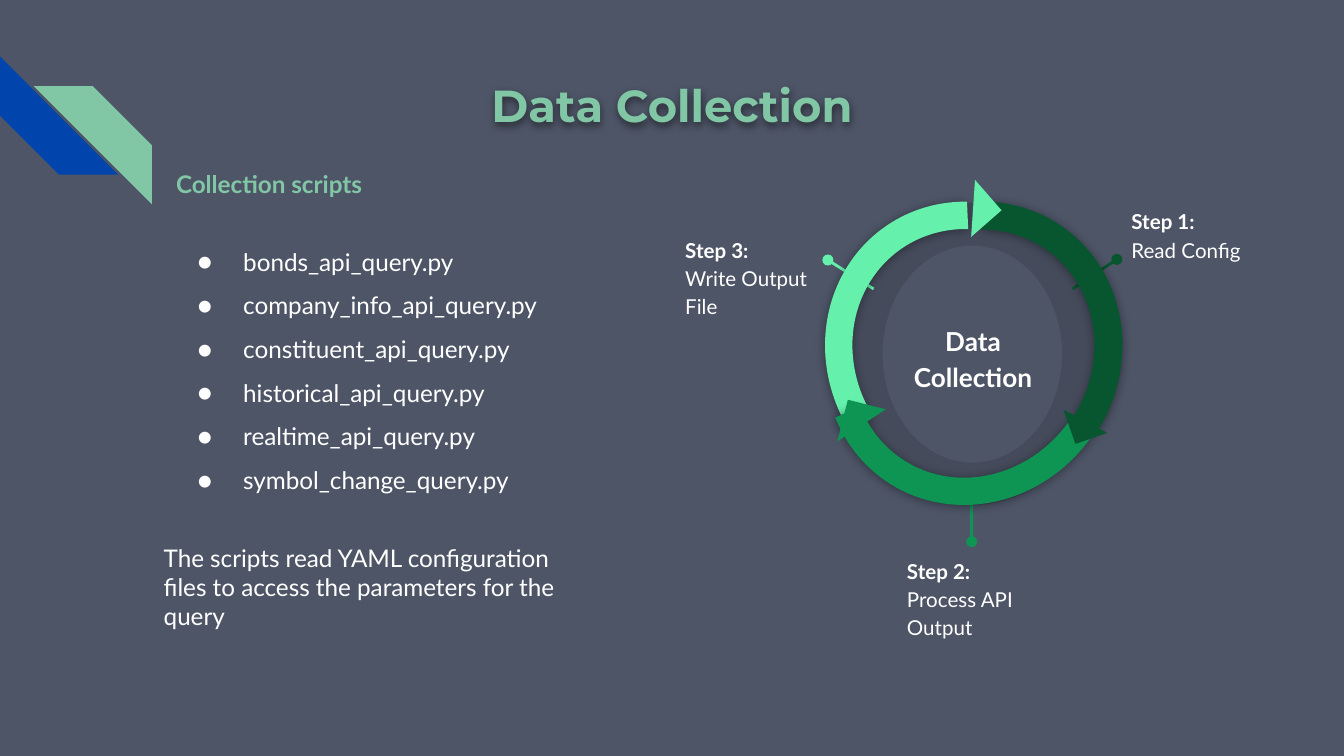
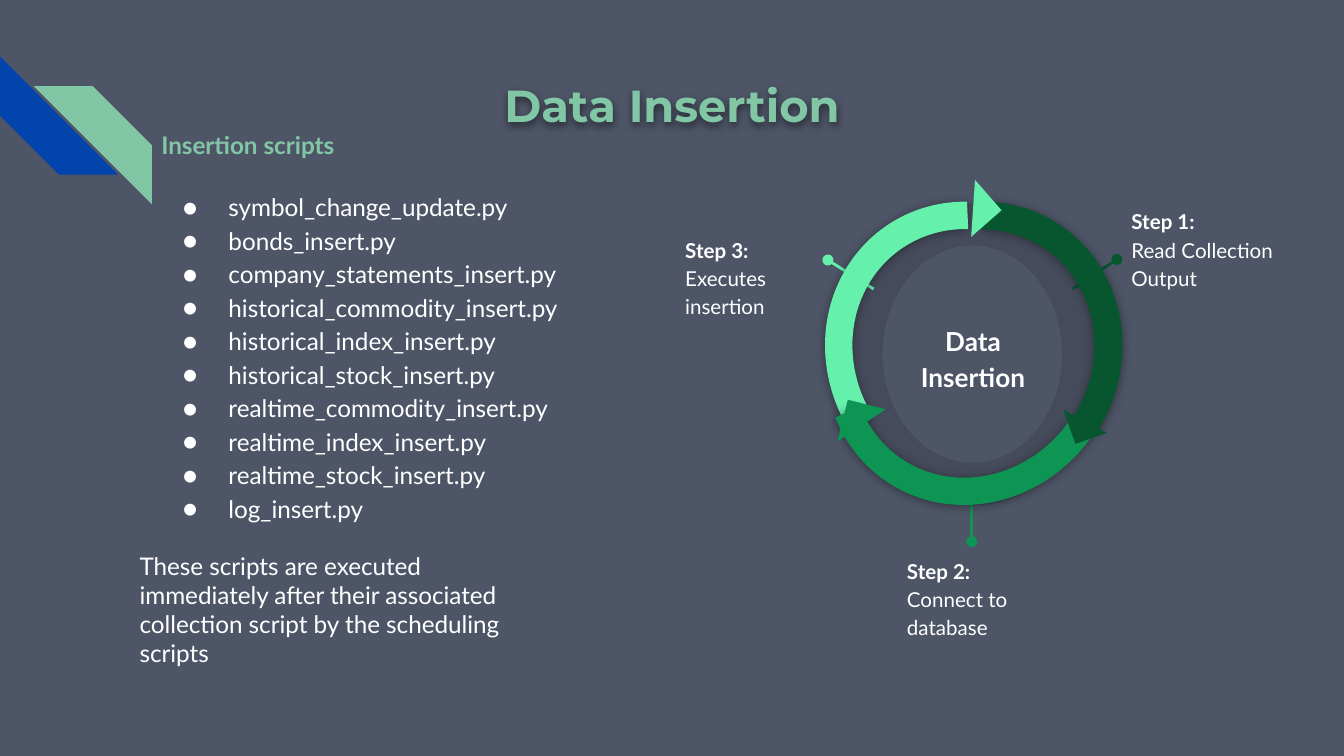
from dataclasses import dataclass

from lxml import etree
from pptx import Presentation
from pptx.dml.color import RGBColor
from pptx.enum.shapes import MSO_CONNECTOR, MSO_SHAPE
from pptx.enum.text import MSO_ANCHOR, MSO_AUTO_SIZE, PP_ALIGN
from pptx.oxml.ns import qn
from pptx.util import Pt

PX = 9144  # one px is a hundredth of an inch
SLIDE_WIDTH = 1000
INSET = 10
STRIPE, DONUT = MSO_SHAPE.DIAGONAL_STRIPE, MSO_SHAPE.DONUT
ARC, TRIANGLE = MSO_SHAPE.BLOCK_ARC, MSO_SHAPE.RIGHT_TRIANGLE
STRAIGHT = MSO_CONNECTOR.STRAIGHT
TOP, MIDDLE = MSO_ANCHOR.TOP, MSO_ANCHOR.MIDDLE
LEFT, CENTER = PP_ALIGN.LEFT, PP_ALIGN.CENTER
SIDE_TOP, SIDE_RIGHT = 0, 3


@dataclass(frozen=True)
class Theme:
    background: str = "4E5567"
    mint: str = "82C7A5"
    blue: str = "0145AC"
    white: str = "FFFFFF"
    black: str = "000000"
    step1: str = "085630"
    step2: str = "0E9453"
    step3: str = "65F0AC"
    heading_font: str = "Montserrat"
    text_font: str = "Lato"
    title: int = 24
    hub: int = 14
    body: int = 13
    step: int = 11


THEME = Theme()


@dataclass(frozen=True)
class Topic:
    title: str
    heading: str
    scripts: tuple
    scripts_box: tuple
    heading_spacing: float
    script_spacing: float
    heading_gap: float
    summary: str
    summary_box: tuple
    steps: tuple


# ---- shared helpers ----

def place(shape, box):
    shape.left, shape.top, shape.width, shape.height = (v * PX for v in box)


def add_child(parent, tag, **attributes):
    return etree.SubElement(parent, qn(tag), {k: str(v) for k, v in attributes.items()})


def add_filled(slide, kind, box, color, rotation=0, flip=False, adjustments=()):
    shape = slide.shapes.add_shape(kind, *(v * PX for v in box))
    shape.shadow.inherit = False
    shape.fill.solid()
    shape.fill.fore_color.rgb = RGBColor.from_string(color)
    shape.line.fill.background()
    shape.rotation = rotation
    if flip:
        shape.element.spPr.find(qn("a:xfrm")).set("flipH", "1")
    for i, value in enumerate(adjustments):
        shape.adjustments[i] = value
    return shape


def cast_shadow(shape, alpha, blur, distance):
    shape.shadow.inherit = False
    effects = shape.element.spPr.find(qn("a:effectLst"))
    outer = add_child(effects, "a:outerShdw", blurRad=Pt(blur), dist=Pt(distance),
                      dir=90 * 60000, algn="bl", rotWithShape=0)
    color = add_child(outer, "a:srgbClr", val=THEME.black)
    add_child(color, "a:alpha", val=alpha * 1000)


def prepare_frame(shape, anchor=TOP):
    frame = shape.text_frame
    frame.word_wrap = True
    frame.auto_size = MSO_AUTO_SIZE.NONE
    frame.vertical_anchor = anchor
    frame.margin_left = frame.margin_right = INSET * PX
    frame.margin_top = frame.margin_bottom = INSET * PX
    return frame


def add_run(paragraph, text, size, color=THEME.white, bold=False, font=THEME.text_font):
    run = paragraph.add_run()
    run.text = text
    run.font.size = Pt(size)
    run.font.name = font
    run.font.bold = bold
    run.font.color.rgb = RGBColor.from_string(color)


def format_paragraph(paragraph, spacing=1.0, align=LEFT):
    paragraph.line_spacing = spacing
    paragraph.space_before = Pt(0)
    paragraph.alignment = align


def add_text_box(slide, box, anchor=TOP, spacing=1.0, align=LEFT):
    text_box = slide.shapes.add_textbox(*(v * PX for v in box))
    paragraph = prepare_frame(text_box, anchor).paragraphs[0]
    format_paragraph(paragraph, spacing, align)
    return text_box, paragraph


def set_bullet(paragraph, bulleted):
    properties = paragraph._p.get_or_add_pPr()
    properties.set("marL", str(50 * PX if bulleted else 0))
    properties.set("indent", str(-34 * PX if bulleted else 0))
    if bulleted:
        color = add_child(properties, "a:buClr")
        add_child(color, "a:srgbClr", val=THEME.white)
        add_child(properties, "a:buSzPts", val=THEME.body * 100)
        add_child(properties, "a:buFont", typeface=THEME.text_font)
        add_child(properties, "a:buChar", char="●")
    else:
        add_child(properties, "a:buNone")


# ---- regions ----

def decorate_layout(layout, slide, x, y):
    """Give the layout its background and the pair of corner stripes."""
    layout.background.fill.solid()
    layout.background.fill.fore_color.rgb = RGBColor.from_string(THEME.background)
    stripes = (
        add_filled(slide, STRIPE, (x, y, 88, 88), THEME.blue, 270, False, (0.5,)),
        add_filled(slide, STRIPE, (x + 25, y + 22, 88, 88), THEME.mint, 0, True, (0.5,)),
    )
    for number, stripe in enumerate(stripes):
        stripe.element.nvSpPr.cNvPr.set("id", str(100 + number))
        layout.shapes.element.insert(2 + number, stripe.element)


def add_title(slide, text, box):
    title = slide.shapes.title
    place(title, box)
    paragraph = prepare_frame(title).paragraphs[0]
    format_paragraph(paragraph, align=CENTER)
    add_run(paragraph, text, THEME.title, THEME.mint, True, THEME.heading_font)
    cast_shadow(title, 50, 4.5, 1.5)


def add_scripts(slide, topic, box):
    body = slide.placeholders[1]
    place(body, box)
    frame = prepare_frame(body, MIDDLE)
    heading = frame.paragraphs[0]
    format_paragraph(heading, topic.heading_spacing)
    heading.space_after = Pt(topic.heading_gap)
    set_bullet(heading, False)
    add_run(heading, topic.heading, THEME.body, THEME.mint, True)
    for script in topic.scripts:
        item = frame.add_paragraph()
        format_paragraph(item, topic.script_spacing)
        set_bullet(item, True)
        add_run(item, script, THEME.body)


def add_summary(slide, text, box):
    _, paragraph = add_text_box(slide, box)
    add_run(paragraph, text, THEME.body)


def add_step(slide, number, text, box, start, end, color, side=None):
    """Label one step and lead from its dot to the ring."""
    label, paragraph = add_text_box(slide, box, spacing=1.15)
    add_run(paragraph, f"Step {number}:", THEME.step, bold=True)
    paragraph.add_line_break()
    add_run(paragraph, text, THEME.step)

    leader = slide.shapes.add_connector(STRAIGHT, *(v * PX for v in start + end))
    leader.line.color.rgb = RGBColor.from_string(color)
    leader.line.width = Pt(1.5)
    add_child(leader.line._get_or_add_ln(), "a:headEnd", type="oval")
    add_child(leader.element.spPr, "a:effectLst")
    if side is not None:
        leader.begin_connect(label, side)


def add_cycle(slide, hub, steps, x, y):
    """Draw the three-step ring with its hub, labels and arrowheads."""
    def at(left, top, *size):
        return (x + left, y + top, *size)

    disc = add_filled(slide, DONUT, at(125, 11, 197, 225), THEME.black, adjustments=(0.161,))
    tint = disc.element.spPr.find(qn("a:solidFill")).find(qn("a:srgbClr"))
    add_child(tint, "a:alpha", val=11000)

    # Step labels with leaders
    first, second, third = steps
    add_step(slide, 3, third, at(0, 24, 116, 59), at(116, 53), at(150, 75),
             THEME.step3, SIDE_RIGHT)
    add_step(slide, 1, first, at(332, 3, 143, 81), at(331, 53), at(298, 75), THEME.step1)
    add_step(slide, 2, second, at(165, 263, 116, 59), at(223, 262), at(223, 221),
             THEME.step2, SIDE_TOP)

    _, paragraph = add_text_box(slide, at(168, 90, 112, 71), MIDDLE, 1.15, CENTER)
    add_run(paragraph, hub, THEME.hub, bold=True)

    # Arcs run from a start to an end angle in degrees
    def add_arc(top, width, color, rotation, flip, start, end, thickness):
        arc = add_filled(slide, ARC, at(116, top, width, 231), color, rotation, flip,
                         (start * 0.6, end * 0.6, thickness))
        cast_shadow(arc, 40, 5.6, 0.8)

    add_arc(8, 217, THEME.step1, 33.4, False, 240.24, 0.01, 0.096)
    add_arc(8, 217, THEME.step3, 326.6, True, 239.14, 357.88, 0.094)
    add_filled(slide, TRIANGLE, at(209, 0, 30, 30), THEME.step3, 228.8)
    add_arc(7, 216, THEME.step2, 213.4, True, 238.6, 358.38, 0.094)
    add_filled(slide, TRIANGLE, at(295, 160, 25, 27), THEME.step1, 340.7)
    add_filled(slide, TRIANGLE, at(125, 162, 32, 29), THEME.step2, 104.1)


def fill_topic_slide(slide, topic):
    add_scripts(slide, topic, topic.scripts_box)
    add_summary(slide, topic.summary, topic.summary_box)
    add_cycle(slide, topic.title, topic.steps, 500, 140)
    add_title(slide, topic.title, (0, 48, SLIDE_WIDTH, 61))


# ---- content ----

TOPICS = (
    Topic(
        title="Data Collection",
        heading="Collection scripts",
        scripts=("bonds_api_query.py", "company_info_api_query.py",
                 "constituent_api_query.py", "historical_api_query.py",
                 "realtime_api_query.py", "symbol_change_query.py"),
        scripts_box=(121, 113, 300, 265),
        heading_spacing=1.15, script_spacing=1.5, heading_gap=18,
        summary="The scripts read YAML configuration files to access "
                "the parameters for the query",
        summary_box=(112, 394, 330, 86),
        steps=("Read Config", "Process API Output", "Write Output File"),
    ),
    Topic(
        title="Data Insertion",
        heading="Insertion scripts",
        scripts=("symbol_change_update.py", "bonds_insert.py",
                 "company_statements_insert.py", "historical_commodity_insert.py",
                 "historical_index_insert.py", "historical_stock_insert.py",
                 "realtime_commodity_insert.py", "realtime_index_insert.py",
                 "realtime_stock_insert.py", "log_insert.py"),
        scripts_box=(110, 88, 373, 312),
        heading_spacing=0.95, script_spacing=1.15, heading_gap=15,
        summary="These scripts are executed immediately after their associated "
                "collection script by the scheduling scripts",
        summary_box=(94, 400, 318, 143),
        steps=("Read Collection Output", "Connect to database", "Executes insertion"),
    ),
)


def main():
    deck = Presentation()
    deck.slide_width = SLIDE_WIDTH * PX
    deck.slide_height = deck.slide_width * 9 // 16
    layout = deck.slide_layouts[1]
    slides = [deck.slides.add_slide(layout) for _ in TOPICS]
    decorate_layout(layout, slides[0], 0, 42)
    for slide, topic in zip(slides, TOPICS):
        fill_topic_slide(slide, topic)
    deck.save("out.pptx")


if __name__ == "__main__":
    main()
